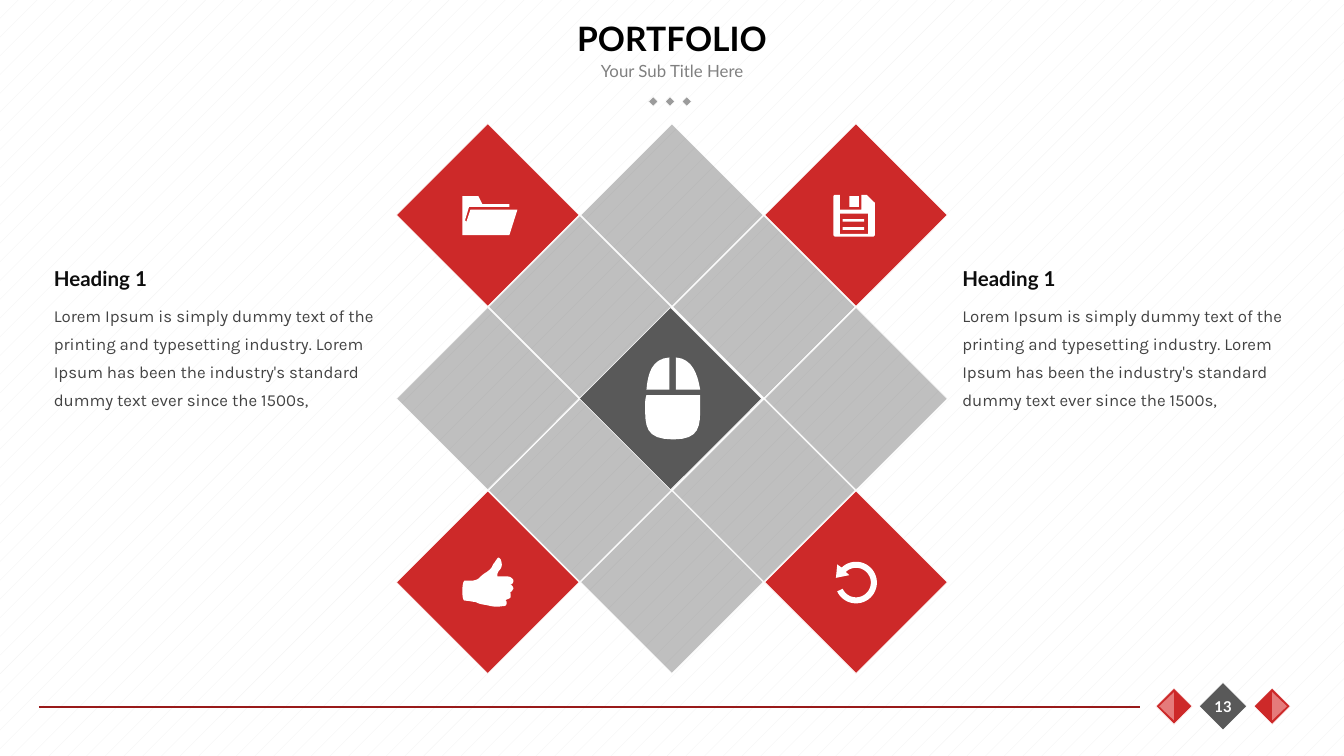
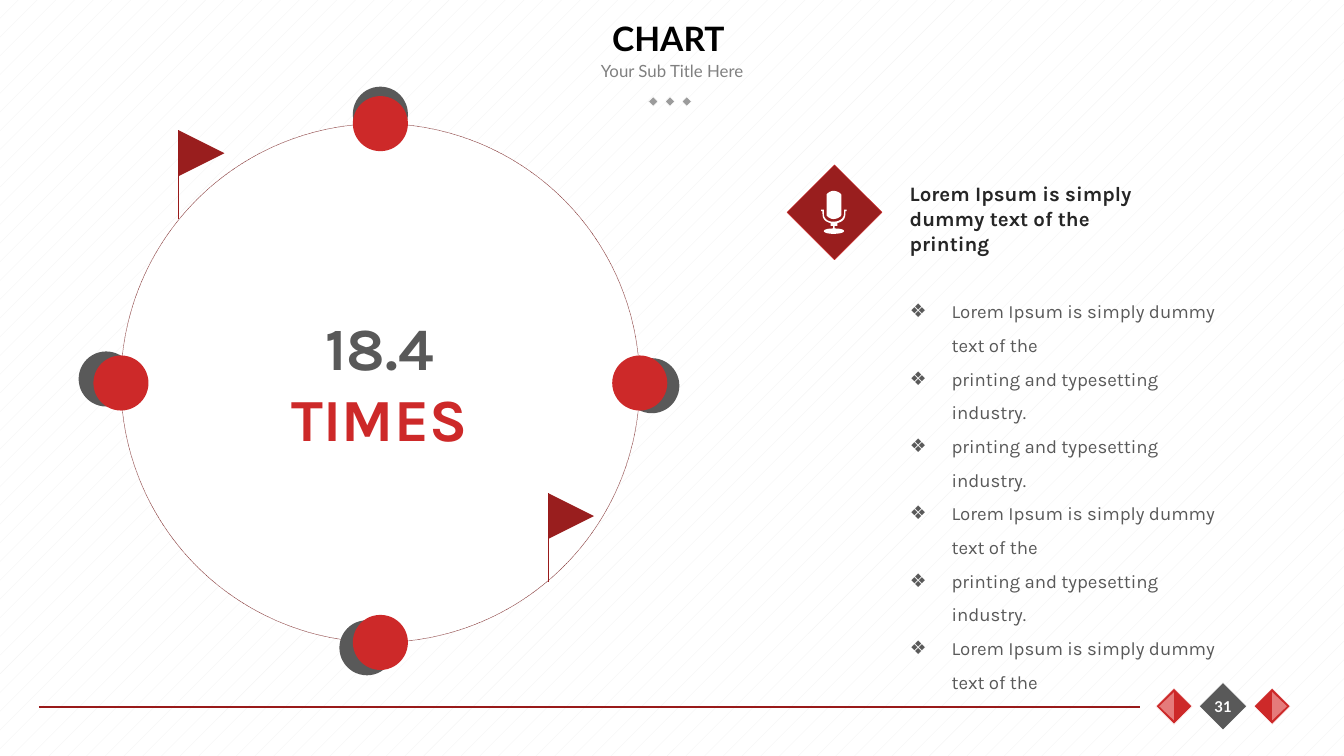
from math import cos, radians, sin

from lxml.etree import SubElement
from pptx import Presentation
from pptx.dml.color import RGBColor
from pptx.enum.dml import MSO_LINE, MSO_PATTERN
from pptx.enum.shapes import MSO_CONNECTOR, MSO_SHAPE
from pptx.enum.text import MSO_ANCHOR, MSO_AUTO_SIZE, PP_ALIGN
from pptx.oxml.ns import qn
from pptx.util import Inches, Pt

# Slide grid: 100 columns wide, square cells
WIDTH, HEIGHT = Inches(10), Inches(5.625)
CELL = WIDTH // 100

WHITE = RGBColor(0xFF, 0xFF, 0xFF)
BLACK = RGBColor(0, 0, 0)
STRIPE = RGBColor(0xF2, 0xF2, 0xF2)
RED = RGBColor(0xCD, 0x29, 0x29)
PINK = RGBColor(0xE5, 0x7B, 0x7B)
DARK_RED = RGBColor(0x99, 0x1E, 0x1E)
RULE_RED = RGBColor(0x99, 0x1A, 0x1A)
RING_RED = RGBColor(0x71, 0x16, 0x16)
GREY = RGBColor(0x59, 0x59, 0x59)
TILE_GREY = RGBColor(0x49, 0x49, 0x49)
DOT_GREY = RGBColor(0x9B, 0x9B, 0x9B)
SUB_GREY = RGBColor(0x80, 0x80, 0x80)
BODY_GREY = RGBColor(0x43, 0x43, 0x43)
HEADING = RGBColor(0x0D, 0x0D, 0x0D)
LEAD = RGBColor(0x26, 0x26, 0x26)
HEAD_FONT, BODY_FONT = "Lato", "Karla"

LOREM = ("Lorem Ipsum is simply dummy text of the printing and typesetting industry. "
         "Lorem Ipsum has been the industry's standard dummy text ever since the 1500s,")
SIMPLY = "Lorem Ipsum is simply dummy text of the"
PRINTING = "printing and typesetting industry."


def cells(*values):
    return [round(v * CELL) for v in values]


# Shapes
def paint(shape, fill, line=None, alpha=None):
    shape.shadow.inherit = False
    shape.fill.solid()
    shape.fill.fore_color.rgb = fill
    if alpha:
        clr = shape.element.spPr.find(qn("a:solidFill"))[0]
        SubElement(clr, qn("a:alpha"), val=str(alpha * 1000))
    if line is None:
        shape.line.fill.background()
    else:
        shape.line.color.rgb = line
        shape.line.width = Pt(0.25)
    return shape


def add_shape(s, kind, box, fill, line=None, rotation=0, alpha=None):
    shape = paint(s.shapes.add_shape(kind, *cells(*box)), fill, line, alpha)
    shape.rotation = rotation
    return shape


def add_diamond(s, x, y, side, fill, line=WHITE, alpha=None):
    box = (x - side / 2, y - side / 2, side, side)
    return add_shape(s, MSO_SHAPE.RECTANGLE, box, fill, line, 315, alpha)


def add_line(s, x1, y1, x2, y2):
    line = s.shapes.add_connector(MSO_CONNECTOR.STRAIGHT, *cells(x1, y1, x2, y2))
    line.line.color.rgb = RULE_RED
    line.line.width = Pt(0.75)
    SubElement(line.element.spPr, qn("a:effectLst"))


def add_flag(s, x, y):
    add_shape(s, MSO_SHAPE.FLOWCHART_MERGE, (x, y, 3.4, 3.4), DARK_RED, rotation=270)
    add_line(s, x, y, x, y + 6.6)


# Icons: contours in tenths of a cell; a pair is a corner, six values a curve
def flatten(contour, steps=8):
    points = []
    for item in contour:
        if len(item) == 2:
            points.append(item)
            continue
        x0, y0 = points[-1]
        x1, y1, x2, y2, x3, y3 = item
        for t in (i / steps for i in range(1, steps + 1)):
            a, b, c, d = (1 - t) ** 3, 3 * t * (1 - t) ** 2, 3 * t * t * (1 - t), t ** 3
            points.append((a * x0 + b * x1 + c * x2 + d * x3,
                           a * y0 + b * y1 + c * y2 + d * y3))
    return points


def add_icon(s, x, y, contours):
    builder = None
    for contour in contours:
        first, *rest = [cells(px / 10, py / 10) for px, py in flatten(contour)]
        if builder is None:
            builder = s.shapes.build_freeform(*first, scale=1.0)
        else:
            builder.move_to(*first)
        builder.add_line_segments(rest, close=True)
    paint(builder.convert_to_shape(*cells(x, y)), WHITE)


def rect(x1, y1, x2, y2):
    return [(x1, y1), (x2, y1), (x2, y2), (x1, y2)]


def arc(cx, cy, radius, start, end, steps=40):
    angles = [radians(start + (end - start) * i / steps) for i in range(steps + 1)]
    return [(cx + radius * cos(a), cy + radius * sin(a)) for a in angles]


FOLDER = [[(35, 10), (6, 10), (3, 19), (2, 18), (5, 8), (35, 8), (35, 6), (15, 6),
           (12, 0), (0, 0), (0, 29), (35, 29), (41, 10)]]
DISK = [[(0, 1), (1, 0), (5, 0), (5, 11), (21, 11), (21, 0), (25, 0), (31, 6),
         (31, 30), (30, 31), (1, 31), (0, 30)],
        rect(12, 1, 19, 9), rect(5, 14, 26, 29), rect(7, 18, 23, 20), rect(7, 24, 23, 26)]
RELOAD = [arc(15, 15.5, 15.5, -134, 155) + arc(15, 15.5, 11, 155, -134)
          + [(10, 10), (0, 12), (1, 2)]]
THUMB = [[(35, 20), (37, 20, 38, 19, 38, 17), (38, 16, 36, 14, 34, 14), (26, 14),
          (26, 12, 26, 12, 27, 10), (29, 8, 30, 6, 29, 3), (29, 2, 28, 0, 27, 0),
          (26, 0, 26, 1, 25, 2), (24, 4, 23, 4, 22, 7), (21, 8, 21, 9, 16, 12),
          (12, 15, 13, 16, 8, 17), (7, 17, 5, 17, 2, 17), (1, 17, 0, 19, 0, 25),
          (0, 31, 1, 32, 2, 32), (5, 32, 8, 33, 10, 33), (13, 35, 18, 35, 21, 36),
          (27, 37, 29, 36, 31, 36), (32, 36, 33, 35, 33, 34), (33, 33, 33, 32, 32, 32),
          (33, 31), (34, 31, 36, 30, 36, 29), (36, 27, 36, 26, 35, 26),
          (36, 26, 37, 25, 38, 23), (38, 22, 37, 20, 35, 20)]]
MOUSE = [[(41, 28), (1, 28), (0, 31, 0, 33, 0, 36), (0, 51, 0, 61, 21, 61),
          (41, 61, 41, 51, 41, 36), (41, 33, 41, 31, 41, 28)],
         [(23, 0), (23, 24), (41, 24), (39, 12, 35, 1, 23, 0)],
         [(18, 0), (5, 1, 2, 12, 1, 24), (18, 24)]]
MIC = [[(19, 14), (17, 14), (17, 17), (17, 21, 13, 23, 9, 23), (5, 23, 2, 21, 2, 17),
        (2, 14), (0, 14), (0, 15), (1, 15), (1, 17), (1, 21, 3, 23, 7, 24), (7, 26),
        (9, 26), (9, 28), (4, 28, 2, 29, 2, 30), (2, 31, 5, 32, 9, 32),
        (14, 32, 17, 31, 17, 30), (17, 29, 15, 28, 10, 28), (10, 26), (12, 26),
        (12, 24), (16, 23, 18, 21, 18, 17), (18, 15), (19, 15)],
       [(9, 21), (12, 21, 15, 19, 15, 18), (15, 3), (15, 2, 12, 0, 9, 0),
        (7, 0, 4, 2, 4, 3), (4, 18), (4, 19, 7, 21, 9, 21)]]


# Text
def set_bullet(p, char):
    pPr = p._p.get_or_add_pPr()
    indent = Inches(0.31) if char else 0
    pPr.set("marL", str(indent))
    pPr.set("indent", str(-indent))
    if char:
        SubElement(pPr, qn("a:buChar"), char=char)
    else:
        SubElement(pPr, qn("a:buNone"))


def write(sp, box, lines, size, color, font=HEAD_FONT, bold=False, align=PP_ALIGN.LEFT,
          anchor=MSO_ANCHOR.TOP, spacing=1.0, bullet=None):
    """Place a box and fill it; a line is a string or a (string, colour) pair."""
    sp.left, sp.top, sp.width, sp.height = cells(*box)
    tf = sp.text_frame
    tf.word_wrap = True
    tf.auto_size = MSO_AUTO_SIZE.NONE
    tf.vertical_anchor = anchor
    for i, line in enumerate(lines):
        text, ink = line if isinstance(line, tuple) else (line, color)
        p = tf.add_paragraph() if i else tf.paragraphs[0]
        set_bullet(p, bullet)
        p.alignment = align
        p.line_spacing = spacing
        p.space_before = Pt(0)
        r = p.add_run()
        r.text = text
        r.font.name, r.font.size, r.font.bold = font, Pt(size), bold
        r.font.color.rgb = ink


def add_text(s, box, lines, size, color, **style):
    write(s.shapes.add_textbox(0, 0, 0, 0), box, lines, size, color, **style)


CENTRED = {"align": PP_ALIGN.CENTER, "anchor": MSO_ANCHOR.MIDDLE}


# Shared parts
def add_master_parts(prs, s):
    """Draw the subtitle, dots and footer, then move them to the slide master."""
    fill = prs.slide_master.background.fill
    fill.patterned()
    fill.pattern = MSO_PATTERN.PERCENT_5
    fill.fore_color.rgb, fill.back_color.rgb = STRIPE, WHITE
    for i in range(3):
        add_diamond(s, 48.6 + 1.25 * i, 7.55, 0.5, DOT_GREY)
    add_text(s, (37.5, 4, 25, 2.5), ["Your Sub Title Here"], 9, SUB_GREY, **CENTRED)
    add_line(s, 2.9, 52.6, 84.8, 52.6)
    add_diamond(s, 91, 52.55, 2.5, GREY)
    for x, side, rotation in ((94.65, 1, 90), (87.35, -1, 270)):
        add_diamond(s, x, 52.55, 1.9, RED)
        add_shape(s, MSO_SHAPE.FLOWCHART_EXTRACT,
                  (x + 0.55 * side - 1.05, 52, 2.1, 1.1), PINK, rotation=rotation)
    for sp in list(s.shapes):
        if not sp.is_placeholder:
            prs.slide_master.shapes.element.append(sp.element)


def add_title(s, title, number):
    write(s.shapes.title, (7.5, 0, 85, 5.6), [title], 18, BLACK, bold=True, **CENTRED)
    add_text(s, (88.9, 51.3, 4.2, 2.5), [number], 8, WHITE, bold=True, **CENTRED)


def fill_portfolio(s):
    add_title(s, "PORTFOLIO", "13")

    # Side texts in the heading and body placeholders
    for x, idx in ((3, 1), (70.6, 3)):
        heading, body = s.placeholders[idx], s.placeholders[idx + 1]
        write(body, (x, 21.7, 27.3, 9.4), [LOREM], 9, BODY_GREY, font=BODY_FONT,
              spacing=Pt(15))
        write(heading, (x, 19.3, 12.8, 2.9), ["Heading 1"], 11, HEADING, bold=True)

    # Diamonds sit on every other node of a 5 by 5 lattice
    for row in range(5):
        for col in range(row % 2, 5, 2):
            x, y = 36.3 + 6.85 * col, 16 + 6.83 * row
            if row == col == 2:
                add_diamond(s, 49.9, y, 9.6, GREY)
            elif row in (0, 4) and col in (0, 4):
                add_diamond(s, x, y, 9.6, RED)
            else:
                add_diamond(s, x, y, 9.6, TILE_GREY, alpha=35)

    for x, y, icon in ((34.4, 14.6, FOLDER), (62, 14.5, DISK), (62.2, 41.8, RELOAD),
                       (34.4, 41.5, THUMB), (48, 26.6, MOUSE)):
        add_icon(s, x, y, icon)


def fill_chart(s):
    add_title(s, "CHART ", "31")

    # Lead text and list
    add_text(s, (66.7, 13, 20.3, 4.7),
             ["Lorem Ipsum is simply dummy text of the printing"],
             11, LEAD, font=BODY_FONT, bold=True)
    write(s.placeholders[1], (66.7, 21, 25, 23.7),
          [SIMPLY, PRINTING, PRINTING, SIMPLY, PRINTING, SIMPLY],
          10, GREY, font=BODY_FONT, spacing=1.5, bullet="❖")
    add_diamond(s, 62.1, 15.8, 5, DARK_RED, RED)
    add_icon(s, 61.1, 14.2, MIC)

    # Ring, with a red dot and a grey shade at each quarter
    cx, cy, radius, dot = 28.3, 28.5, 19.3, 4.1
    ring = add_shape(s, MSO_SHAPE.OVAL,
                     (cx - radius, cy - radius, 2 * radius, 2 * radius), WHITE, RING_RED)
    ring.line.dash_style = MSO_LINE.ROUND_DOT
    for ux, uy, dx, dy in ((1, 0, 0.9, 0.2), (0, -1, 0, -0.7),
                           (0, 1, -1, 0.4), (-1, 0, -1.1, -0.3)):
        x, y = cx + radius * ux - dot / 2, cy + radius * uy - dot / 2
        add_shape(s, MSO_SHAPE.OVAL, (x + dx, y + dy, dot, dot), GREY)
        add_shape(s, MSO_SHAPE.OVAL, (x, y, dot, dot), RED)

    add_text(s, (18.1, 22.6, 20.3, 11.8), ["18.4", ("TIMES", RED)], 32, GREY,
             font=BODY_FONT, bold=True, align=PP_ALIGN.CENTER)
    add_flag(s, 40.8, 36.7)
    add_flag(s, 13.3, 9.7)


def main():
    prs = Presentation()
    prs.slide_width, prs.slide_height = WIDTH, HEIGHT
    portfolio = prs.slides.add_slide(prs.slide_layouts.get_by_name("Comparison"))
    chart = prs.slides.add_slide(prs.slide_layouts.get_by_name("Title and Content"))
    add_master_parts(prs, portfolio)
    fill_portfolio(portfolio)
    fill_chart(chart)
    prs.save("out.pptx")


if __name__ == "__main__":
    main()
